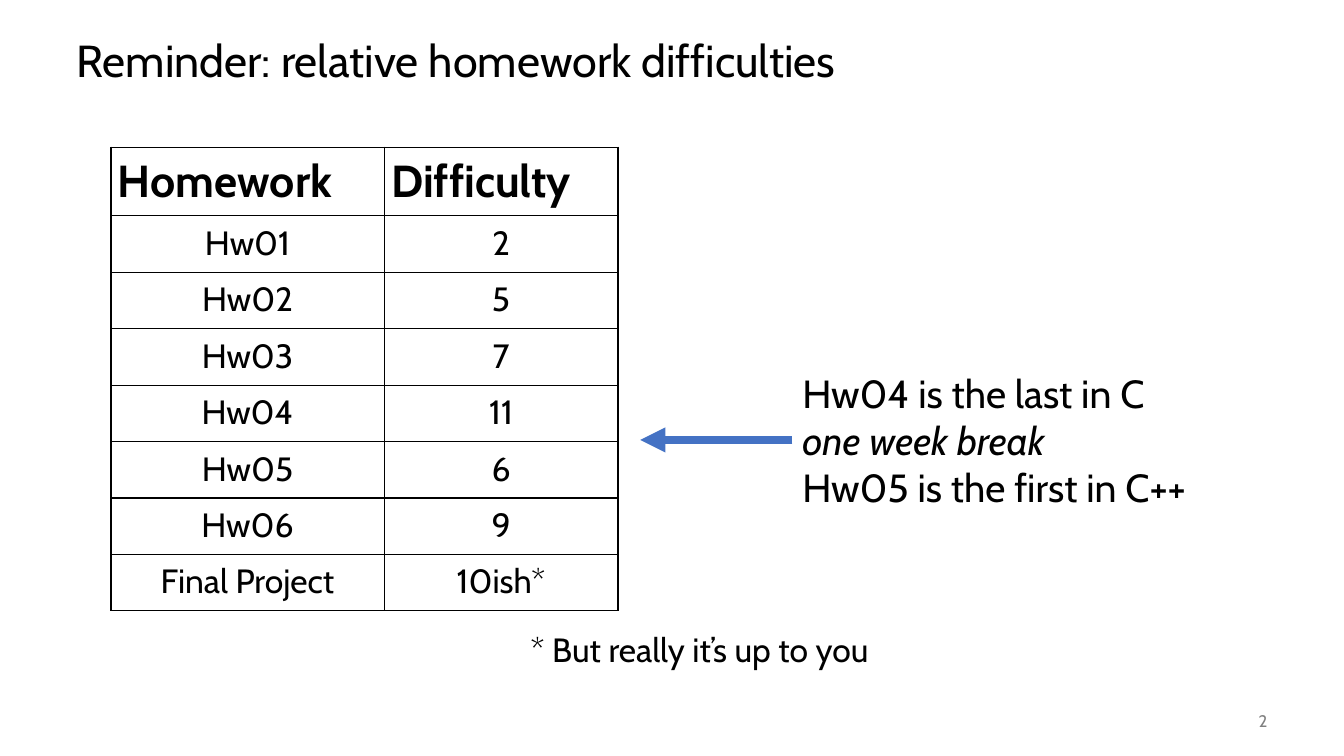
from lxml import etree
from pptx import Presentation
from pptx.dml.color import RGBColor
from pptx.enum.shapes import MSO_CONNECTOR
from pptx.enum.text import MSO_ANCHOR, MSO_AUTO_SIZE, PP_ALIGN
from pptx.oxml.ns import qn
from pptx.util import Inches, Pt

LEFT, CENTER, RIGHT = PP_ALIGN.LEFT, PP_ALIGN.CENTER, PP_ALIGN.RIGHT
TOP, MIDDLE = MSO_ANCHOR.TOP, MSO_ANCHOR.MIDDLE
NO_FIT, GROW = MSO_AUTO_SIZE.NONE, MSO_AUTO_SIZE.SHAPE_TO_FIT_TEXT
STRAIGHT = MSO_CONNECTOR.STRAIGHT

FONT = "Cabin"
COLORS = {"text": "000000", "number": "808080", "arrow": "4472C4"}
DIFFICULTIES = [
    ("Homework", "Difficulty"),
    ("Hw01", "2"),
    ("Hw02", "5"),
    ("Hw03", "7"),
    ("Hw04", "11"),
    ("Hw05", "6"),
    ("Hw06", "9"),
    ("Final Project", "10ish*"),
]
COLUMN_WIDTHS = (2.71, 2.32)
HEADER_HEIGHT, ROW_HEIGHT = 0.67, 0.56
CELL_MARGIN = 0.07


def color(name):
    return RGBColor.from_string(COLORS[name])


def write(paragraph, text, size=24, fill="text", align=LEFT, bold=False,
          italic=False, line_spacing=1.0):
    """Add one formatted run to a paragraph."""
    paragraph.alignment = align
    paragraph.line_spacing = line_spacing
    paragraph.space_before = Pt(0)
    run = paragraph.add_run()
    run.text = text
    font = run.font
    font.name, font.size = FONT, Pt(size)
    font.bold, font.italic = bold, italic
    font.color.rgb = color(fill)


def place(shape, box, anchor=TOP, fit=NO_FIT):
    """Move a text shape into its box and return its text frame."""
    shape.left, shape.top, shape.width, shape.height = map(Inches, box)
    frame = shape.text_frame
    frame.word_wrap = True
    frame.auto_size = fit
    frame.vertical_anchor = anchor
    return frame


def add_text_box(slide, box, **options):
    return place(slide.shapes.add_textbox(*map(Inches, box)), box, **options)


def add_title(slide, box):
    frame = place(slide.shapes.title, box, anchor=MIDDLE)
    write(frame.paragraphs[0], "Reminder: relative homework difficulties",
          size=32, line_spacing=0.9)


def add_footnote(slide, box):
    paragraph = place(slide.placeholders[1], box).paragraphs[0]
    properties = paragraph._p.get_or_add_pPr()
    properties.set("marL", "0")
    properties.set("indent", "0")
    etree.SubElement(properties, qn("a:buNone"))
    write(paragraph, "* But really it’s up to you", line_spacing=0.9)


def add_slide_number(slide, box):
    frame = add_text_box(slide, box, anchor=MIDDLE)
    write(frame.paragraphs[0], "2", size=12, fill="number", align=RIGHT)


def add_borders(cell):
    properties = cell._tc.get_or_add_tcPr()
    for position, side in enumerate(("lnL", "lnR", "lnT", "lnB")):
        line = etree.Element(qn(f"a:{side}"), w=str(Pt(1)))
        fill = etree.SubElement(line, qn("a:solidFill"))
        etree.SubElement(fill, qn("a:srgbClr"), val=COLORS["text"])
        properties.insert(position, line)


def add_difficulty_table(slide, left, top):
    height = HEADER_HEIGHT + ROW_HEIGHT * (len(DIFFICULTIES) - 1)
    table = slide.shapes.add_table(
        len(DIFFICULTIES), len(COLUMN_WIDTHS), Inches(left), Inches(top),
        Inches(sum(COLUMN_WIDTHS)), Inches(height)).table
    table.first_row = table.horz_banding = False
    for column, width in zip(table.columns, COLUMN_WIDTHS):
        column.width = Inches(width)
    for row_index, values in enumerate(DIFFICULTIES):
        header = row_index == 0
        table.rows[row_index].height = Inches(
            HEADER_HEIGHT if header else ROW_HEIGHT)
        for column_index, value in enumerate(values):
            cell = table.cell(row_index, column_index)
            cell.margin_left = cell.margin_right = Inches(CELL_MARGIN)
            cell.margin_top = cell.margin_bottom = Inches(CELL_MARGIN)
            cell.fill.background()
            add_borders(cell)
            write(cell.text_frame.paragraphs[0], value, bold=header,
                  size=32 if header else 24, align=LEFT if header else CENTER)


def add_break_note(slide, box, arrow_length):
    """Add the note and the arrow that runs from its left edge to the table."""
    left, top, _, height = box
    middle = Inches(top + height / 2)
    arrow = slide.shapes.add_connector(
        STRAIGHT, Inches(left), middle, Inches(left - arrow_length), middle)
    arrow.line.color.rgb = color("arrow")
    arrow.line.width = Pt(6)
    etree.SubElement(arrow.line._get_or_add_ln(), qn("a:tailEnd"),
                     type="triangle")
    etree.SubElement(arrow._element.spPr, qn("a:effectLst"))

    frame = add_text_box(slide, box, fit=GROW)
    lines = [("Hw04 is the last in C", False), ("one week break", True),
             ("Hw05 is the first in C++", False)]
    for index, (text, italic) in enumerate(lines):
        paragraph = frame.add_paragraph() if index else frame.paragraphs[0]
        write(paragraph, text, size=28, italic=italic)


def build_difficulty_slide(presentation):
    slide = presentation.slides.add_slide(presentation.slide_layouts[1])
    add_title(slide, (0.66, 0.25, 12, 0.75))
    add_footnote(slide, (5.16, 6.23, 4.96, 0.54))
    add_slide_number(slide, (11.67, 6.95, 1, 0.4))
    add_difficulty_table(slide, 1.1, 1.46)
    add_break_note(slide, (7.86, 3.61, 4.37, 1.51), arrow_length=1.51)


def main():
    presentation = Presentation()
    presentation.slide_width = Inches(13.33)
    presentation.slide_height = Inches(7.5)
    build_difficulty_slide(presentation)
    presentation.save("out.pptx")


if __name__ == "__main__":
    main()
